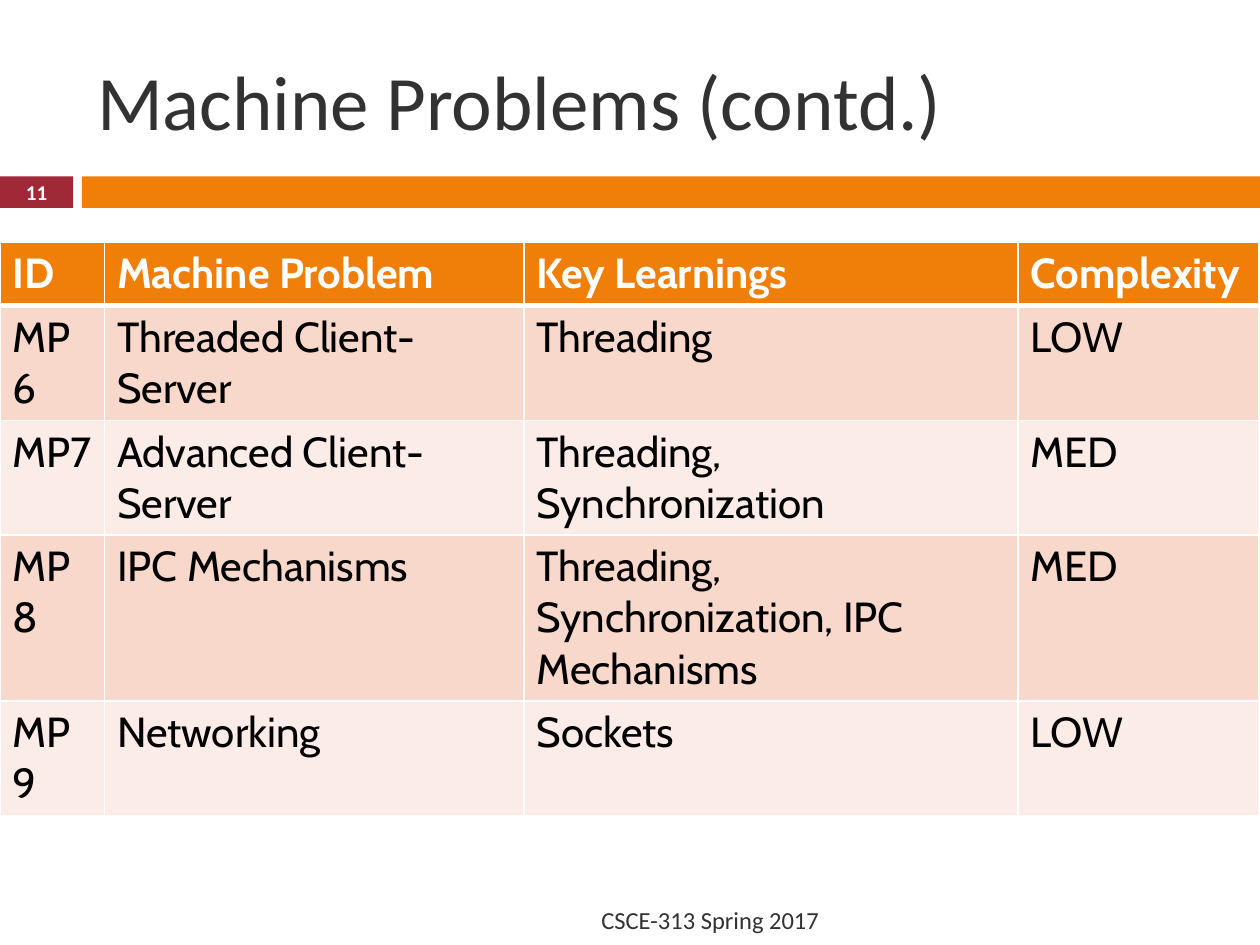
import pptx
import pptx.dml.color
import pptx.enum.shapes
import pptx.enum.text
import pptx.oxml
import pptx.oxml.ns
import pptx.util

Inches = pptx.util.Inches
Align = pptx.enum.text.PP_ALIGN
COLORS = {
    "accent": "F07F09",
    "number": "9F2936",
    "heading": "323232",
    "body": "000000",
    "white": "FFFFFF",
    "band_dark": "F9D8CC",
    "band_light": "FCECE7",
}


class SlideBuilder:
    heading_font = "Calibri"
    table_font = "Cabin"

    def __init__(self, slide):
        self.slide = slide

    def color(self, name):
        return pptx.dml.color.RGBColor.from_string(COLORS[name])

    def place(self, shape, box):
        shape.left, shape.top, shape.width, shape.height = map(Inches, box)

    def style(self, paragraph, size, color, font, bold=False, align=Align.LEFT):
        paragraph.alignment = align
        paragraph.font.size = pptx.util.Pt(size)
        paragraph.font.name = font
        paragraph.font.bold = bold
        paragraph.font.color.rgb = self.color(color)

    def bar(self, box, color):
        bar = self.slide.shapes.add_shape(
            pptx.enum.shapes.MSO_SHAPE.RECTANGLE, *map(Inches, box))
        bar.shadow.inherit = False
        bar.fill.solid()
        bar.fill.fore_color.rgb = self.color(color)
        bar.line.fill.background()

    def fill_text(self, frame, text, size, color, **options):
        frame.text = text
        frame.word_wrap = True
        frame.auto_size = pptx.enum.text.MSO_AUTO_SIZE.NONE
        frame.vertical_anchor = pptx.enum.text.MSO_ANCHOR.MIDDLE
        self.style(frame.paragraphs[0], size, color, self.heading_font, **options)

    def title(self, text, box):
        title = self.slide.shapes.title
        self.place(title, box)
        self.fill_text(title.text_frame, text, 44, "heading")

    def label(self, text, box, size, color, **options):
        label = self.slide.shapes.add_textbox(*map(Inches, box))
        self.fill_text(label.text_frame, text, size, color, **options)

    def borders(self, cell, bottom_width):
        properties = cell._tc.get_or_add_tcPr()
        widths = {"lnL": 1, "lnR": 1, "lnT": 1, "lnB": bottom_width}
        for side, width in widths.items():
            properties.append(pptx.oxml.parse_xml(
                f'<a:{side} {pptx.oxml.ns.nsdecls("a")} w="{pptx.util.Pt(width)}">'
                f'<a:solidFill><a:srgbClr val="{COLORS["white"]}"/></a:solidFill>'
                f'</a:{side}>'))

    def table(self, rows, left, top, widths, row_height):
        table = self.slide.shapes.add_table(
            len(rows), len(widths), Inches(left), Inches(top),
            Inches(sum(widths)), Inches(row_height * len(rows))).table
        for column, width in zip(table.columns, widths):
            column.width = Inches(width)
        for row_index, row in enumerate(rows):
            header = row_index == 0
            band = "band_dark" if row_index % 2 else "band_light"
            for column_index, text in enumerate(row):
                cell = table.cell(row_index, column_index)
                cell.text = text
                self.style(cell.text_frame.paragraphs[0], 24,
                           "white" if header else "body", self.table_font, bold=header)
                self.borders(cell, 3 if header else 1)
                cell.fill.solid()
                cell.fill.fore_color.rgb = self.color("accent" if header else band)


def main():
    deck = pptx.Presentation()
    deck.slide_width, deck.slide_height = Inches(10), Inches(7.5)
    title_only = deck.slide_layouts[5]
    builder = SlideBuilder(deck.slides.add_slide(title_only))

    builder.bar((0, 1.4, 0.58, 0.25), "number")
    builder.bar((0.65, 1.4, 9.35, 0.25), "accent")
    builder.title("Machine Problems (contd.)", (0.67, 0.25, 8.92, 1.08))
    builder.label("CSCE-313 Spring 2017", (0.67, 7.1, 5.93, 0.4), 14, "heading",
                  align=Align.RIGHT)
    builder.label("11", (0, 1.39, 0.58, 0.27), 12, "white", bold=True,
                  align=Align.CENTER)

    machine_problems = [
        ("ID", "Machine Problem", "Key Learnings", "Complexity"),
        ("MP6", "Threaded Client-Server", "Threading", "LOW"),
        ("MP7", "Advanced Client-Server", "Threading, Synchronization", "MED"),
        ("MP8", "IPC Mechanisms", "Threading, Synchronization, IPC Mechanisms", "MED"),
        ("MP9", "Networking", "Sockets", "LOW"),
    ]
    builder.table(machine_problems, 0, 1.92, (0.83, 3.33, 3.92, 1.91), 0.41)
    deck.save("out.pptx")


if __name__ == "__main__":
    main()
